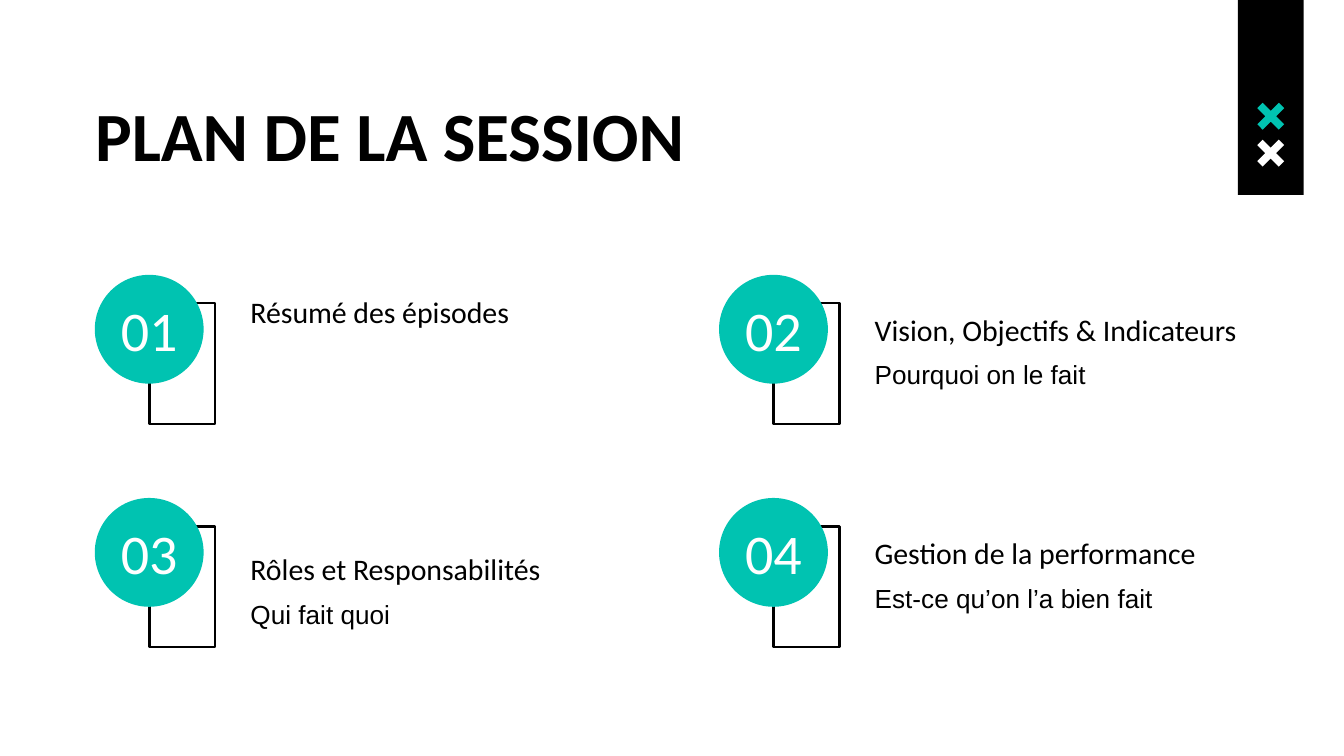
import pptx
import pptx.dml.color
import pptx.enum.shapes
import pptx.enum.text
import pptx.util

PX = 4572  # EMU per px, 200 px to the inch
COLORS = {"black": "000000", "white": "FFFFFF", "teal": "00C3B1"}
SHAPES = pptx.enum.shapes.MSO_SHAPE
ANCHOR = pptx.enum.text.MSO_ANCHOR
ALIGN = pptx.enum.text.PP_ALIGN


def paint(shape, fill=None, line=None):
    """Set fill and outline by colour name; None leaves that part empty."""
    shape.shadow.inherit = False
    if fill:
        shape.fill.solid()
        shape.fill.fore_color.rgb = pptx.dml.color.RGBColor.from_string(COLORS[fill])
    else:
        shape.fill.background()
    if line:
        shape.line.color.rgb = pptx.dml.color.RGBColor.from_string(COLORS[line])
        shape.line.width = pptx.util.Pt(1.5)
    else:
        shape.line.fill.background()


def add_text(text, left, top, width, height, size, font="Calibri", color="black",
             bold=False, align=ALIGN.LEFT, anchor=ANCHOR.TOP):
    box = slide.shapes.add_textbox(left * PX, top * PX, width * PX, height * PX)
    frame = box.text_frame
    frame.word_wrap = True
    frame.vertical_anchor = anchor
    frame.margin_left = frame.margin_right = 20 * PX
    frame.margin_top = frame.margin_bottom = 20 * PX
    para = frame.paragraphs[0]
    para.alignment = align
    span = para.add_run()
    span.text = text
    span.font.name = font
    span.font.size = pptx.util.Pt(size)
    span.font.bold = bold
    span.font.color.rgb = pptx.dml.color.RGBColor.from_string(COLORS[color])


deck = pptx.Presentation()
deck.slide_width = 2000 * PX
deck.slide_height = 1125 * PX
slide = deck.slides.add_slide(deck.slide_layouts[6])

# Corner ribbon with two crosses
ribbon = slide.shapes.add_shape(SHAPES.RECTANGLE, 1842 * PX, 0, 98 * PX, 290 * PX)
paint(ribbon, fill="black")

CROSS = [(8, 0), (0, 8), (12, 20), (0, 32), (8, 40), (20, 28),
         (32, 40), (40, 32), (28, 20), (40, 8), (32, 0), (20, 12)]
for top, color in [(153, "teal"), (208, "white")]:
    points = [(1871 + x, top + y) for x, y in CROSS]
    builder = slide.shapes.build_freeform(*points[0], scale=PX)
    builder.add_line_segments(points[1:], close=True)
    paint(builder.convert_to_shape(), fill=color)

add_text("PLAN DE LA SESSION", 122, 118, 1772, 158, size=37, bold=True)

# Agenda grid: number, label, label top, label width, detail
ITEMS = [
    ("01", "Résumé des épisodes", 425, 684, None),
    ("02", "Vision, Objectifs & Indicateurs", 451, 676, "Pourquoi on le fait"),
    ("03", "Rôles et Responsabilités", 807, 684, "Qui fait quoi"),
    ("04", "Gestion de la performance", 783, 614, "Est-ce qu’on l’a bien fait"),
]
for index, (number, label, label_top, label_width, detail) in enumerate(ITEMS):
    row, column = divmod(index, 2)
    left = 141 + column * 929
    top = 409 + row * 332

    outline = slide.shapes.add_shape(
        SHAPES.RECTANGLE, (left + 81) * PX, (top + 42) * PX, 98 * PX, 180 * PX)
    paint(outline, line="black")
    circle = slide.shapes.add_shape(
        SHAPES.OVAL, left * PX, top * PX, 162 * PX, 162 * PX)
    paint(circle, fill="teal")

    add_text(number, left, top + 21, 162, 120, size=30, color="white",
             align=ALIGN.CENTER, anchor=ANCHOR.MIDDLE)
    add_text(label, left + 212, label_top, label_width, 78, size=16,
             anchor=ANCHOR.MIDDLE)
    if detail:
        add_text(detail, left + 212, label_top + 63, 582, 140, size=14, font="Arial")

deck.save("out.pptx")
